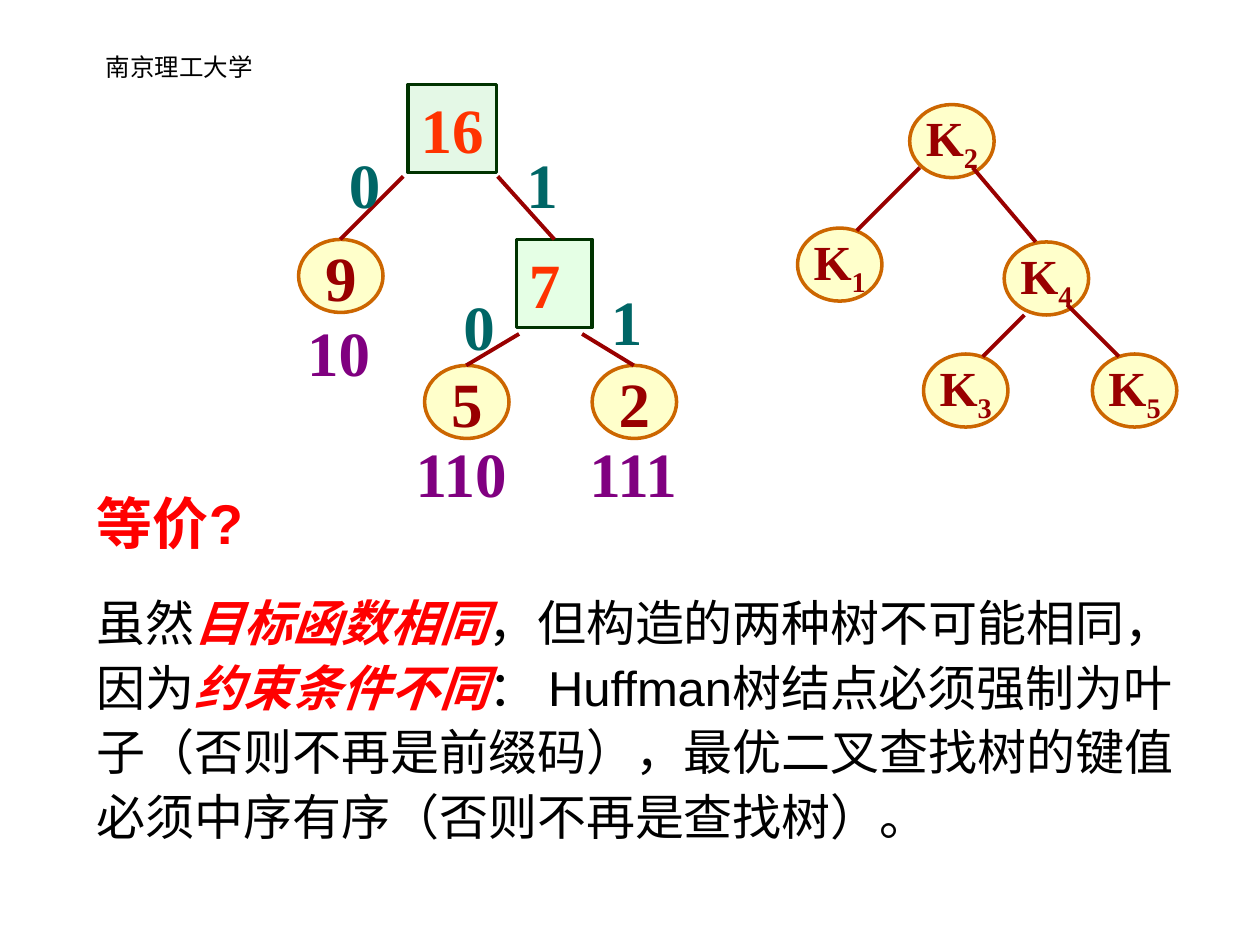
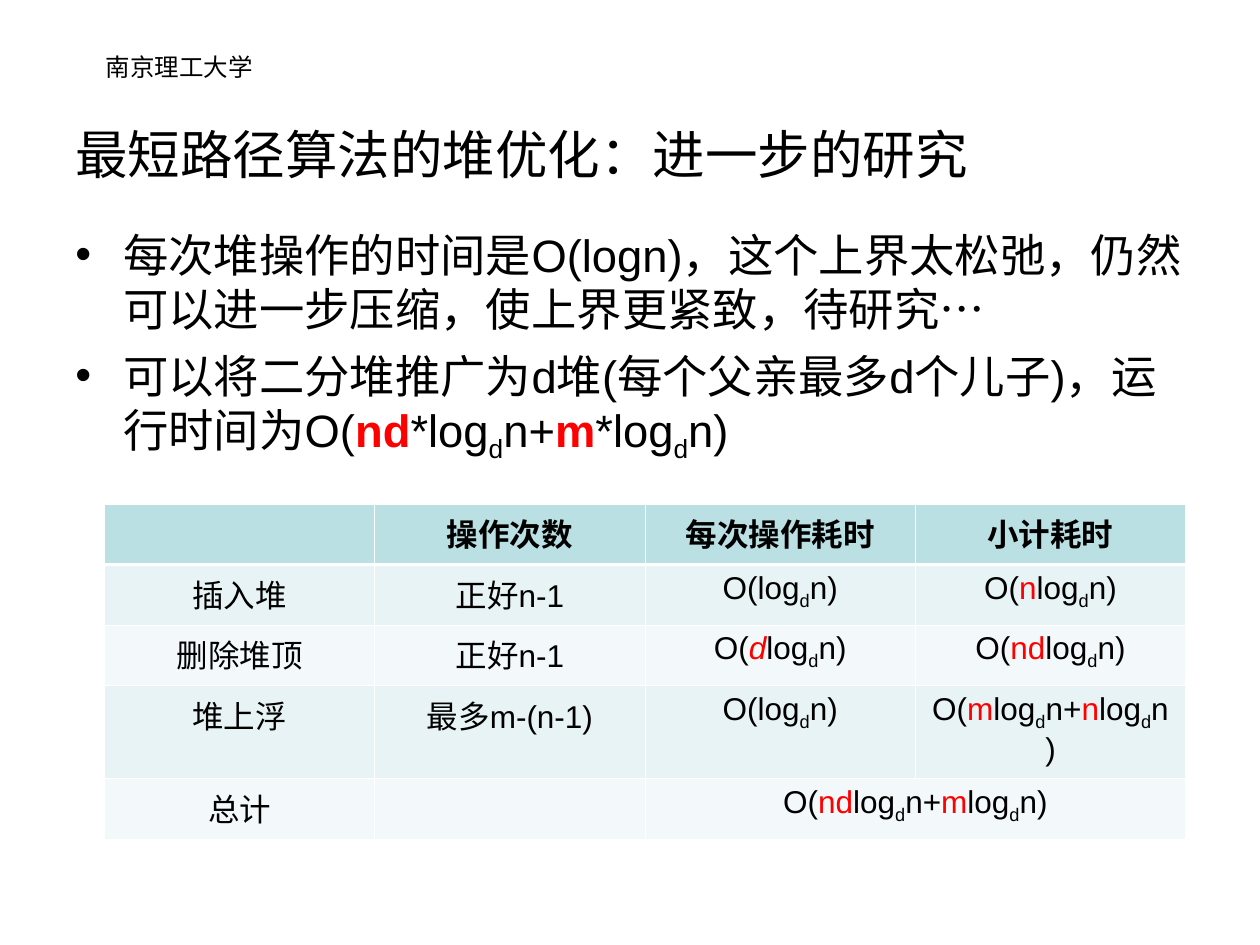
from lxml import etree
from pptx import Presentation
from pptx.dml.color import RGBColor
from pptx.enum.shapes import MSO_CONNECTOR, MSO_SHAPE
from pptx.enum.text import MSO_ANCHOR, PP_ALIGN
from pptx.oxml.ns import qn
from pptx.util import Inches, Pt

OVAL, RECT = MSO_SHAPE.OVAL, MSO_SHAPE.RECTANGLE
LINE = MSO_CONNECTOR.STRAIGHT
TOP, MIDDLE = MSO_ANCHOR.TOP, MSO_ANCHOR.MIDDLE
LEFT, CENTER = PP_ALIGN.LEFT, PP_ALIGN.CENTER
SANS, SERIF = "Arial", "Times New Roman"
HEX = {
    "black": "000000", "white": "FFFFFF", "red": "FF0000",
    "cream": "FFFF99", "rust": "CC6600", "wine": "990000",
    "mint": "CCFFCC", "sage": "CAF2CE", "pine": "003300",
    "coral": "FF3300", "teal": "006666", "plum": "800080",
    "head": "BBE0E3", "odd": "E7F3F4", "even": "F3F9FA",
}
RGB = {name: RGBColor.from_string(code) for name, code in HEX.items()}


def write(frame, text, size=18, color="black", font=SANS, bold=False,
          align=LEFT, before=None, space=None, bullet=False):
    """Add a paragraph; runs split at |, with marks before ~:
    r red, b bold, i italic, s subscript."""
    para = frame.add_paragraph() if frame.text else frame.paragraphs[0]
    para.alignment = align
    if before:
        para.space_before = Pt(before)
    if space:
        para.line_spacing = space
    if bullet:
        props = para._p.get_or_add_pPr()
        props.set("marL", str(Inches(0.38)))
        props.set("indent", str(-Inches(0.38)))
        etree.SubElement(props, qn("a:buFont"), typeface=SANS)
        etree.SubElement(props, qn("a:buChar"), char="•")
    for part in text.split("|"):
        marks, _, word = part.rpartition("~")
        run = para.add_run()
        run.text = word
        run.font.name, run.font.size = font, Pt(size)
        run.font.bold = bold or "b" in marks
        run.font.italic = "i" in marks
        run.font.color.rgb = RGB["red" if "r" in marks else color]
        if "s" in marks:
            run._r.get_or_add_rPr().set("baseline", "-25000")


def box(shapes, x, y, w, h, wrap=True, anchor=TOP):
    """Add an empty text box and return its frame."""
    frame = shapes.add_textbox(*map(Inches, (x, y, w, h))).text_frame
    frame.word_wrap = wrap
    frame.vertical_anchor = anchor
    return frame


deck = Presentation()
deck.slide_width, deck.slide_height = Inches(10), Inches(7.5)

# Both slides carry the school name
pages = [deck.slides.add_slide(deck.slide_layouts[6]) for _ in range(2)]
for page in pages:
    write(box(page.shapes, -0.16, 0.36, 3.17, 0.52), "南京理工大学", 14,
          align=CENTER)

# Slide 1: the two trees
shapes = pages[0].shapes
looks = {  # form, fill, outline, text colour, align, anchor
    "leaf": (OVAL, "cream", "rust", "wine", CENTER, MIDDLE),
    "sum": (RECT, "mint", "pine", "coral", LEFT, TOP),
    "root": (RECT, "sage", "pine", "coral", LEFT, TOP),
}
code = {  # text, look, left, top, width, height
    "nodes": [
        ("9", "leaf", 2.37, 1.9, 0.67, 0.58),
        ("5", "leaf", 3.37, 2.9, 0.67, 0.58),
        ("2", "leaf", 4.7, 2.9, 0.67, 0.58),
        ("7", "sum", 4.1, 1.9, 0.6, 0.7),
        ("16", "root", 3.24, 0.67, 0.7, 0.7),
    ],
    "links": [
        (4.12, 2.65, 3.7, 2.9, None), (4.62, 2.65, 5.03, 2.9, None),
        (3.2, 1.4, 2.7, 1.9, None), (3.95, 1.4, 4.4, 1.9, "7"),
    ],
    "size": 36,
}
search = {
    "nodes": [
        (f"K|s~{num}", "leaf", x, y, 0.67, 0.58)
        for num, x, y in [(1, 6.33, 1.81), (3, 7.33, 2.81), (5, 8.67, 2.81),
                          (2, 7.22, 0.83), (4, 7.97, 1.92)]
    ],
    "links": [
        (8.13, 2.5, 7.8, 2.83, None), (8.47, 2.42, 8.88, 2.83, None),
        (7.3, 1.33, 6.8, 1.83, None), (7.72, 1.33, 8.22, 1.92, None),
    ],
    "size": 28,
}
for tree in (code, search):
    group = shapes.add_group_shape().shapes
    made = {}
    for text, look, *area in tree["nodes"]:
        form, fill, edge, color, align, anchor = looks[look]
        node = made[text] = group.add_shape(form, *map(Inches, area))
        node.shadow.inherit = False
        node.fill.solid()
        node.fill.fore_color.rgb = RGB[fill]
        tint = node._element.spPr.find(".//" + qn("a:srgbClr"))
        etree.SubElement(tint, qn("a:alpha"), val="50000")
        node.line.color.rgb = RGB[edge]
        node.line.width = Pt(2)
        node.text_frame.word_wrap = False
        node.text_frame.vertical_anchor = anchor
        write(node.text_frame, text, tree["size"], color, SERIF, True, align)
    for *ends, goal in tree["links"]:
        link = group.add_connector(LINE, *map(Inches, ends))
        if goal:
            link.end_connect(made[goal], 0)
        link.line.color.rgb = RGB["wine"]
        link.line.width = Pt(2.25)
        etree.SubElement(link._element.spPr, qn("a:effectLst"))

# Branch bits and leaf codes
for text, color, x, y, w in [
    ("0", "teal", 2.67, 1.11, 0.45), ("0", "teal", 3.58, 2.23, 0.45),
    ("1", "teal", 4.08, 1.11, 0.45), ("1", "teal", 4.75, 2.19, 0.45),
    ("10", "plum", 2.34, 2.44, 0.7), ("110", "plum", 3.2, 3.4, 0.95),
    ("111", "plum", 4.58, 3.4, 0.95),
]:
    write(box(shapes, x, y, w, 0.7, wrap=False), text, 36, color, SERIF, True)

# Question and answer
frame = box(shapes, 0.67, 3.83, 9.08, 2.93)
write(frame, "等价?", 32, "red", bold=True)
write(frame, "虽然|rbi~目标函数相同|，但构造的两种树不可能相同，因为|"
      "rbi~约束条件不同|： Huffman树结点必须强制为叶子（否则不再是前缀码），"
      "最优二叉查找树的键值必须中序有序（否则不再是查找树）。",
      28, before=17.5, space=1.1)

# Slide 2: title and points
shapes = pages[1].shapes
write(box(shapes, 0.5, 0.59, 9, 1.25, anchor=MIDDLE),
      "最短路径算法的堆优化：进一步的研究", 30)
frame = box(shapes, 0.5, 1.75, 9.08, 2.08)
write(frame, "每次堆操作的时间是O(logn)，这个上界太松弛，仍然可以进一步压缩，"
      "使上界更紧致，待研究…", 25.9, bullet=True)
write(frame, "可以将二分堆推广为d堆(每个父亲最多d个儿子)，运行时间为O(|rb~nd|"
      "*log|s~d|n+|rb~m|*log|s~d|n)", 25.9, before=7, bullet=True)

# Cost table
log = "log|s~d|n"
rows = [
    ["", "操作次数", "每次操作耗时", "小计耗时"],
    ["插入堆", "正好n-1", f"O({log})", f"O(|r~n|{log})"],
    ["删除堆顶", "正好n-1", f"O(|ri~d|{log})", f"O(|r~nd|{log})"],
    ["堆上浮", "最多m-(n-1)", f"O({log})", f"O(|r~m|{log}+|r~n|{log})"],
    ["总计", "", f"O(|r~nd|{log}+|r~m|{log})", ""],
]
table = shapes.add_table(5, 4, *map(Inches, (0.83, 4, 8.58, 2.67))).table
table.first_row = table.horz_banding = False
for col in table.columns:
    col.width = Inches(8.58 / 4)
for r, row in enumerate(rows):
    table.rows[r].height = Inches(0.74 if r == 3 else 0.48)
    for c, text in enumerate(row):
        cell = table.cell(r, c)
        props = cell._tc.get_or_add_tcPr()
        for side in "LRTB":
            thick = (r, side) in [(0, "B"), (1, "T")]
            edge = etree.SubElement(props, qn(f"a:ln{side}"),
                                    w=str(Pt(1.47 if thick else 0.45)))
            paint = etree.SubElement(edge, qn("a:solidFill"))
            etree.SubElement(paint, qn("a:srgbClr"), val=HEX["white"])
        cell.fill.solid()
        cell.fill.fore_color.rgb = RGB[
            "head" if r == 0 else "odd" if r % 2 else "even"]
        if text:
            write(cell.text_frame, text, bold=r == 0, align=CENTER)
table.cell(4, 2).merge(table.cell(4, 3))

deck.save("out.pptx")
